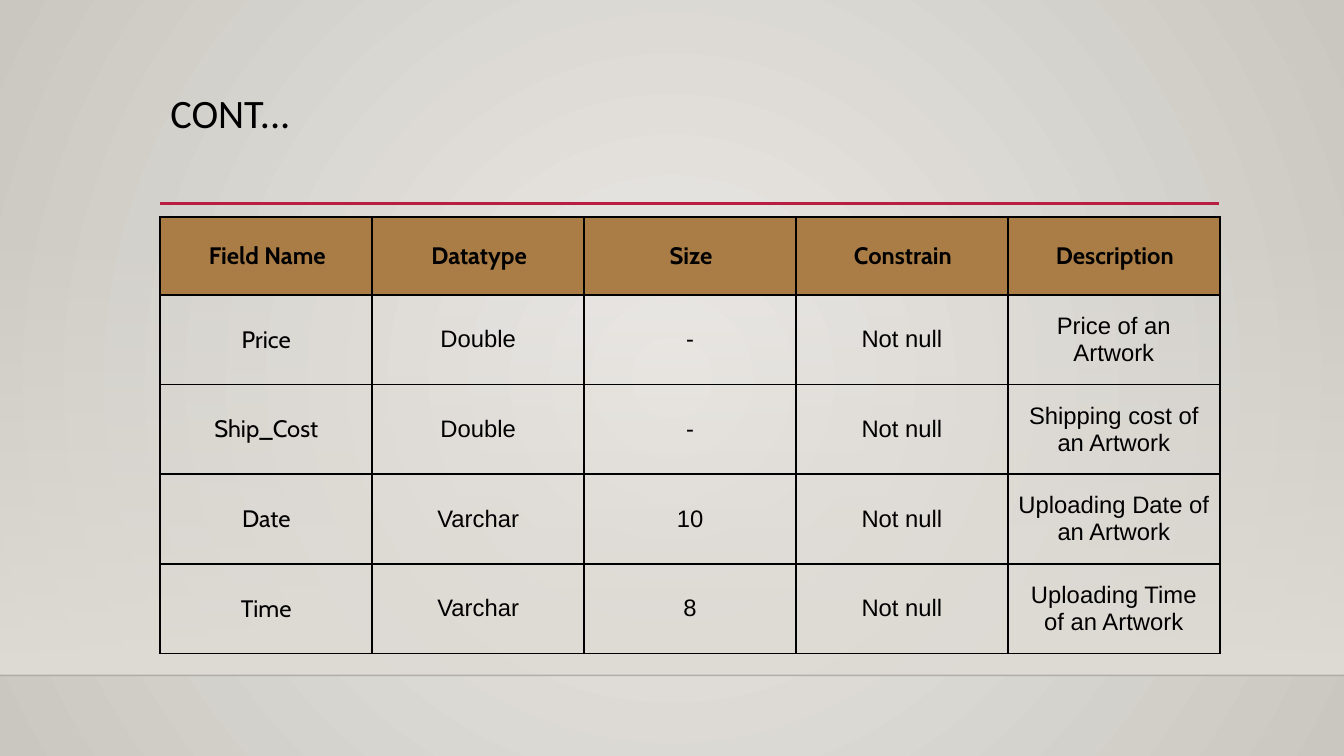
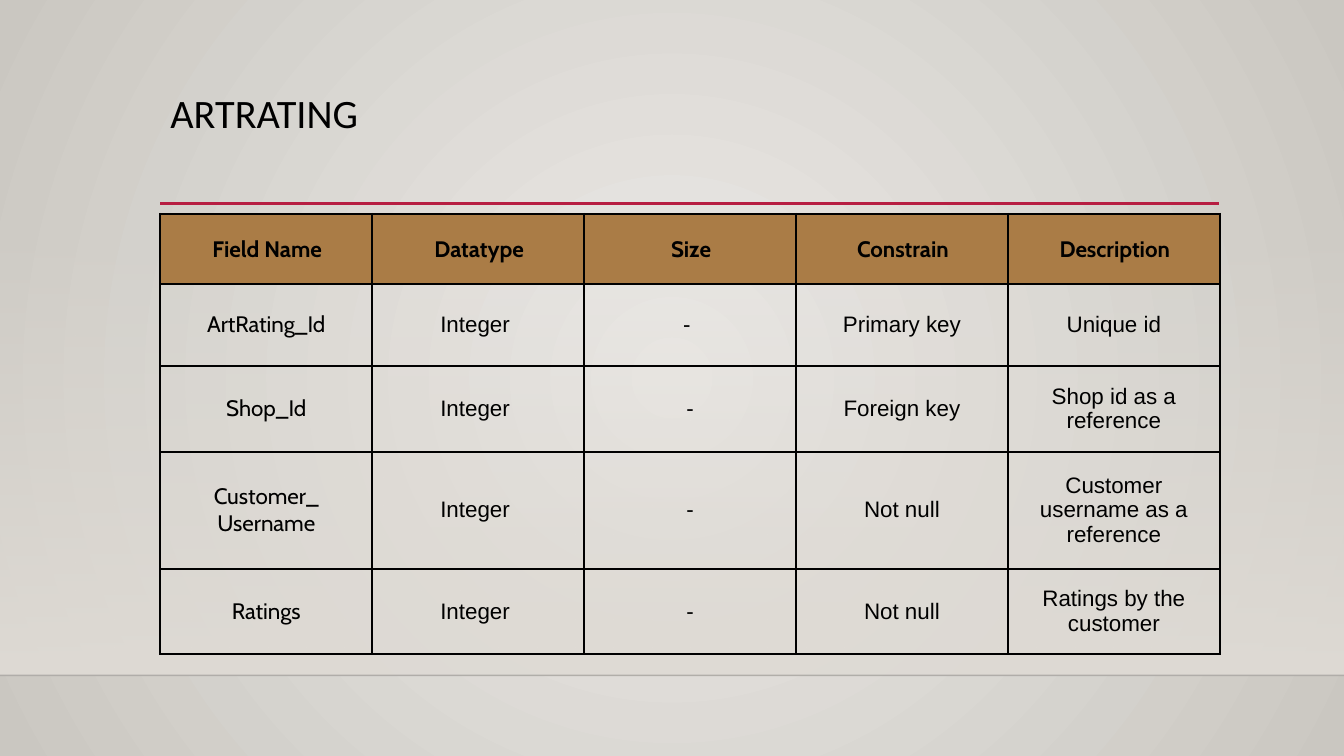
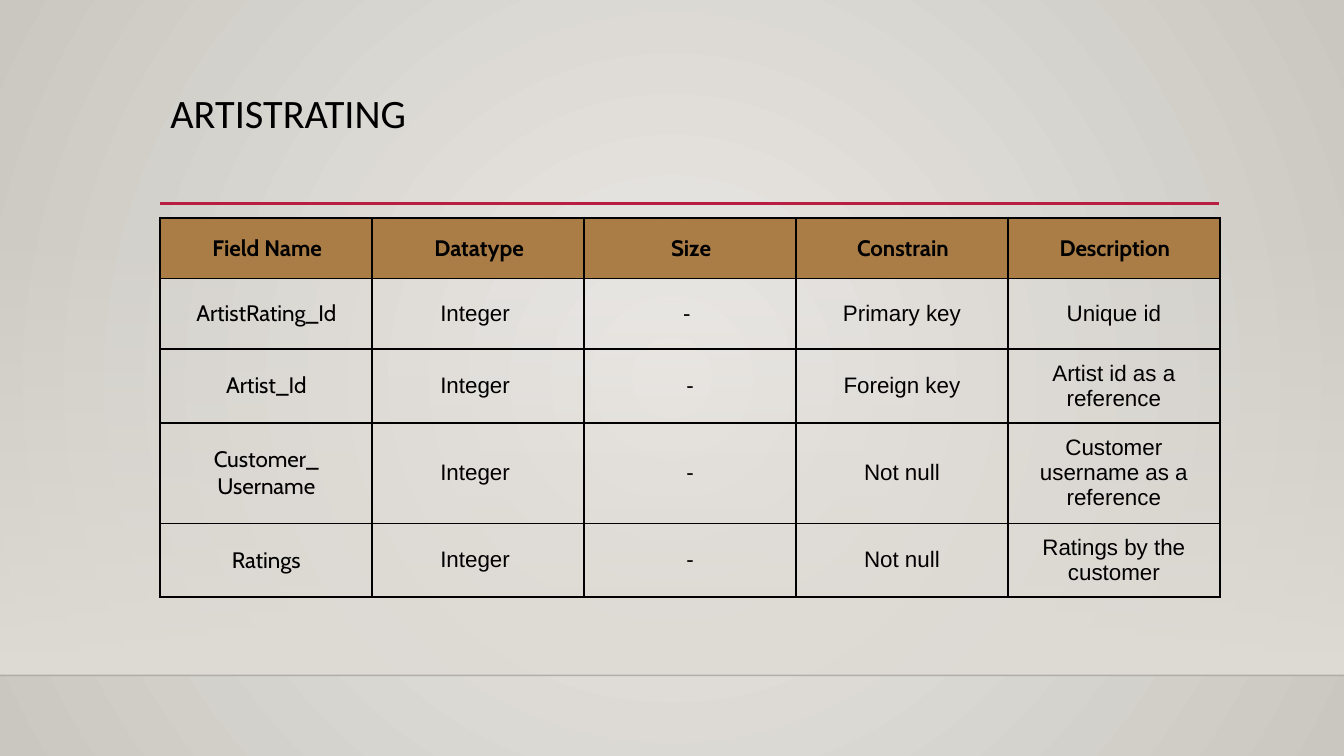
from dataclasses import dataclass

from lxml.etree import SubElement
from pptx import Presentation
from pptx.dml.color import RGBColor
from pptx.enum.shapes import MSO_CONNECTOR, MSO_SHAPE
from pptx.enum.text import MSO_ANCHOR, MSO_AUTO_SIZE, PP_ALIGN
from pptx.oxml.ns import qn
from pptx.util import Cm, Pt

COLORS = {
    "text": "000000",
    "border": "000000",
    "header": "AA7C46",
    "accent": "B71E42",
    "glow": "ECEAE7",
    "edge": "CAC7C1",
    "wall": "DFDBD5",
    "floor": "000001",
}
SLIDE_WIDTH, SLIDE_HEIGHT = 33.87, 19.05
LEFT, COLUMN_WIDTH = 4.04, 5.34
WALL_TOP, FLOOR_TOP = 5.61, 17.02
BORDER_WIDTH = Pt(1.5)
HEADERS = ("Field Name", "Datatype", "Size", "Constrain", "Description")


@dataclass(frozen=True)
class Rule:
    left: float
    right: float
    top: float
    color: str
    width: float
    opacity: int = 100


@dataclass(frozen=True)
class TableSlide:
    title: str
    top: float
    row_heights: tuple[float, ...]
    font_size: int
    margin: float
    rows: tuple[tuple[str, ...], ...]


RULES = (
    Rule(0, SLIDE_WIDTH, FLOOR_TOP, "floor", 1, 20),
    Rule(LEFT, 30.73, 5.13, "accent", 2.5),
)


def rating_rows(identifier: str, rated_id: str, rated: str, username: str) -> tuple:
    """Rows shared by the two rating tables."""
    return (
        (identifier, "Integer ", "- ", "Primary key", "Unique id"),
        (rated_id, "Integer ", "-", "Foreign key", f"{rated} id as a reference"),
        (username, "Integer ", "-", "Not null", "Customer username as a reference"),
        ("Ratings", "Integer ", "-", "Not null", "Ratings by the customer"),
    )


TABLE_SLIDES = (
    TableSlide("CONT...", 5.47, (1.96, 2.26, 2.26, 2.26, 2.26), 17, 0.25, (
        ("Price", "Double", "-", "Not null", "Price of an Artwork"),
        ("Ship_Cost", "Double", "-", "Not null", "Shipping cost of an Artwork"),
        ("Date", "Varchar", "10", "Not null", "Uploading Date of an Artwork"),
        ("Time", "Varchar", "8", "Not null", "Uploading Time of an Artwork"),
    )),
    TableSlide("ARTRATING", 5.39, (1.77, 2.06, 2.16, 2.95, 2.16), 16, 0.23,
               rating_rows("ArtRating_Id", "Shop_Id", "Shop", "Customer_ Username")),
    TableSlide("ARTISTRATING", 5.49, (1.53, 1.78, 1.85, 2.54, 1.85), 16, 0.23,
               rating_rows("ArtistRating_Id", "Artist_Id", "Artist", "Customer_\nUsername")),
)


def rgb(name: str) -> RGBColor:
    return RGBColor.from_string(COLORS[name])


def apply(target, formats: dict) -> None:
    for attribute, value in formats.items():
        setattr(target, attribute, value)


def set_opacity(color_parent, percent: int) -> None:
    color = next(color_parent.iter(qn("a:srgbClr")))
    SubElement(color, qn("a:alpha"), val=str(percent * 1000))


def set_gradient(fill, *names: str) -> None:
    fill.gradient()
    for stop, name in zip(fill.gradient_stops, names):
        stop.color.rgb = rgb(name)


def set_background(master) -> None:
    """Give every slide a light that fades outwards from the centre."""
    set_gradient(master.background.fill, "glow", "edge")
    gradient = next(master.element.iter(qn("a:gradFill")))
    gradient.remove(gradient.find(qn("a:lin")))
    circle = SubElement(gradient, qn("a:path"), path="circle")
    SubElement(circle, qn("a:fillToRect"), dict.fromkeys("ltrb", "50000"))


def add_wall(slide) -> None:
    """Draw the band that fades in down to the floor line."""
    wall = slide.shapes.add_shape(
        MSO_SHAPE.RECTANGLE, 0, Cm(WALL_TOP), Cm(SLIDE_WIDTH), Cm(FLOOR_TOP - WALL_TOP))
    wall.shadow.inherit = False
    wall.line.fill.background()
    set_gradient(wall.fill, "wall", "wall")
    wall.fill.gradient_angle = 270
    set_opacity(wall.element.spPr, 0)


def add_rule(slide, rule: Rule) -> None:
    connector = slide.shapes.add_connector(
        MSO_CONNECTOR.STRAIGHT, Cm(rule.left), Cm(rule.top), Cm(rule.right), Cm(rule.top))
    connector.line.color.rgb = rgb(rule.color)
    connector.line.width = Pt(rule.width)
    if rule.opacity < 100:
        set_opacity(connector.element.spPr, rule.opacity)
    SubElement(connector.element.spPr, qn("a:effectLst"))


def set_title(slide, text: str) -> None:
    title = slide.shapes.title
    apply(title, {"left": Cm(LEFT), "top": Cm(2.24),
                  "width": Cm(5 * COLUMN_WIDTH), "height": Cm(2.92)})
    frame = title.text_frame
    frame.text = text
    apply(frame, {"vertical_anchor": MSO_ANCHOR.TOP, "auto_size": MSO_AUTO_SIZE.NONE,
                  "word_wrap": True})
    paragraph = frame.paragraphs[0]
    apply(paragraph, {"alignment": PP_ALIGN.LEFT, "line_spacing": 0.9})
    apply(paragraph.font, {"name": "Calibri", "size": Pt(28.8)})
    paragraph.font.color.rgb = rgb("text")


def add_borders(cell) -> None:
    properties = cell._tc.get_or_add_tcPr()
    for side in "LRTB":
        line = SubElement(properties, qn(f"a:ln{side}"), w=str(BORDER_WIDTH))
        fill = SubElement(line, qn("a:solidFill"))
        SubElement(fill, qn("a:srgbClr"), val=COLORS["border"])


def fill_cell(cell, text: str, content: TableSlide, is_header: bool, is_name: bool) -> None:
    add_borders(cell)
    if is_header:
        cell.fill.solid()
        cell.fill.fore_color.rgb = rgb("header")
    else:
        cell.fill.background()
    margin = Cm(content.margin)
    apply(cell, {
        "vertical_anchor": MSO_ANCHOR.MIDDLE,
        "margin_left": margin + Cm(0.05) if is_header else margin,
        "margin_right": margin, "margin_top": margin, "margin_bottom": margin,
    })
    cell.text_frame.text = text
    for paragraph in cell.text_frame.paragraphs:
        paragraph.alignment = PP_ALIGN.CENTER
        apply(paragraph.font, {"name": "Cabin" if is_header or is_name else "Arial",
                               "size": Pt(content.font_size), "bold": is_header})
        paragraph.font.color.rgb = rgb("text")


def add_field_table(slide, content: TableSlide) -> None:
    rows = (HEADERS, *content.rows)
    table = slide.shapes.add_table(
        len(rows), len(HEADERS), Cm(LEFT), Cm(content.top),
        Cm(COLUMN_WIDTH * len(HEADERS)), Cm(sum(content.row_heights))).table
    apply(table, {"first_row": False, "horz_banding": False})
    for column in table.columns:
        column.width = Cm(COLUMN_WIDTH)
    for row_index, (row, height) in enumerate(zip(rows, content.row_heights)):
        table.rows[row_index].height = Cm(height)
        for column_index, text in enumerate(row):
            fill_cell(table.cell(row_index, column_index), text, content,
                      is_header=row_index == 0, is_name=column_index == 0)


def main() -> None:
    presentation = Presentation()
    apply(presentation, {"slide_width": Cm(SLIDE_WIDTH), "slide_height": Cm(SLIDE_HEIGHT)})
    set_background(presentation.slide_master)
    title_only = presentation.slide_layouts.get_by_name("Title Only")
    for content in TABLE_SLIDES:
        slide = presentation.slides.add_slide(title_only)
        add_wall(slide)
        for rule in RULES:
            add_rule(slide, rule)
        set_title(slide, content.title)
        add_field_table(slide, content)
    presentation.save("out.pptx")


if __name__ == "__main__":
    main()
